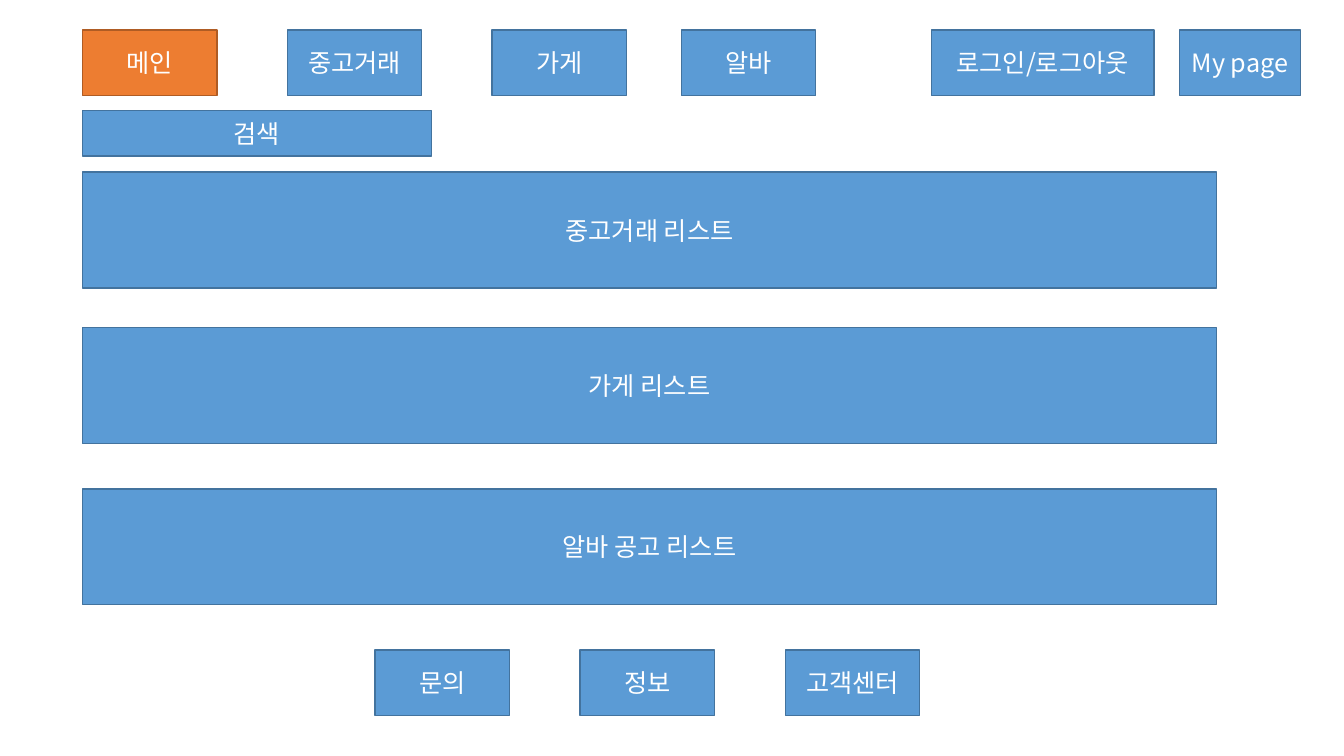
"""Build the main page wireframe of a local marketplace site."""
from dataclasses import dataclass

from lxml import etree
from pptx import Presentation
from pptx import util as u
from pptx.dml.color import RGBColor
from pptx.enum import shapes, text
from pptx.oxml import ns
from pptx.slide import Slide

BLUE = RGBColor(0x5B, 0x9B, 0xD5)
DARK_BLUE = RGBColor(0x43, 0x73, 0x9E)
ORANGE = RGBColor(0xED, 0x7D, 0x31)
DARK_ORANGE = RGBColor(0xAF, 0x5C, 0x24)
WHITE = RGBColor(0xFF, 0xFF, 0xFF)
FONT = "Noto Sans CJK KR"

MARGIN = 2.08
BUTTON_WIDTH, BUTTON_HEIGHT = 3.39, 1.65
MENU_TOP = 0.76
LIST_WIDTH, LIST_HEIGHT = 28.58, 2.92
FOOTER_LEFT, FOOTER_TOP, FOOTER_STEP = 9.45, 16.38, 5.17


@dataclass(frozen=True)
class Box:
    label: str
    left: float
    top: float
    width: float = BUTTON_WIDTH
    height: float = BUTTON_HEIGHT
    fill: RGBColor = BLUE
    line: RGBColor = DARK_BLUE


MENU = [
    Box("메인", MARGIN, MENU_TOP, fill=ORANGE, line=DARK_ORANGE),
    Box("중고거래", 7.24, MENU_TOP),
    Box("가게", 12.4, MENU_TOP),
    Box("알바", 17.17, MENU_TOP),
    Box("로그인/로그아웃", 23.47, MENU_TOP, width=5.61),
    Box("My page", 29.72, MENU_TOP, width=3.05),
]
SEARCH = Box("검색", MARGIN, 2.79, 8.79, 1.14)
LISTS = [
    Box(label, MARGIN, top, LIST_WIDTH, LIST_HEIGHT)
    for label, top in (("중고거래 리스트", 4.34), ("가게 리스트", 8.26), ("알바 공고 리스트", 12.32))
]
FOOTER = [
    Box(label, FOOTER_LEFT + index * FOOTER_STEP, FOOTER_TOP)
    for index, label in enumerate(("문의", "정보", "고객센터"))
]


def draw_box(slide: Slide, box: Box) -> None:
    shape = slide.shapes.add_shape(
        shapes.MSO_SHAPE.RECTANGLE,
        u.Cm(box.left), u.Cm(box.top), u.Cm(box.width), u.Cm(box.height),
    )
    shape.shadow.inherit = False
    shape.fill.solid()
    shape.fill.fore_color.rgb = box.fill
    shape.line.color.rgb = box.line
    shape.line.width = u.Pt(1)
    frame = shape.text_frame
    frame.text = box.label
    frame.word_wrap = True
    frame.vertical_anchor = text.MSO_ANCHOR.MIDDLE
    paragraph = frame.paragraphs[0]
    paragraph.alignment = text.PP_ALIGN.CENTER
    run = paragraph.runs[0]
    run.font.size = u.Pt(18)
    run.font.name = FONT
    run.font.color.rgb = WHITE
    etree.SubElement(run.font._element, ns.qn("a:ea"), typeface=FONT)


def main() -> None:
    presentation = Presentation()
    presentation.slide_width = u.Cm(33.87)
    presentation.slide_height = u.Cm(19.05)
    slide = presentation.slides.add_slide(presentation.slide_layouts[6])
    for box in [*MENU, SEARCH, *LISTS, *FOOTER]:
        draw_box(slide, box)
    presentation.save("out.pptx")


if __name__ == "__main__":
    main()
